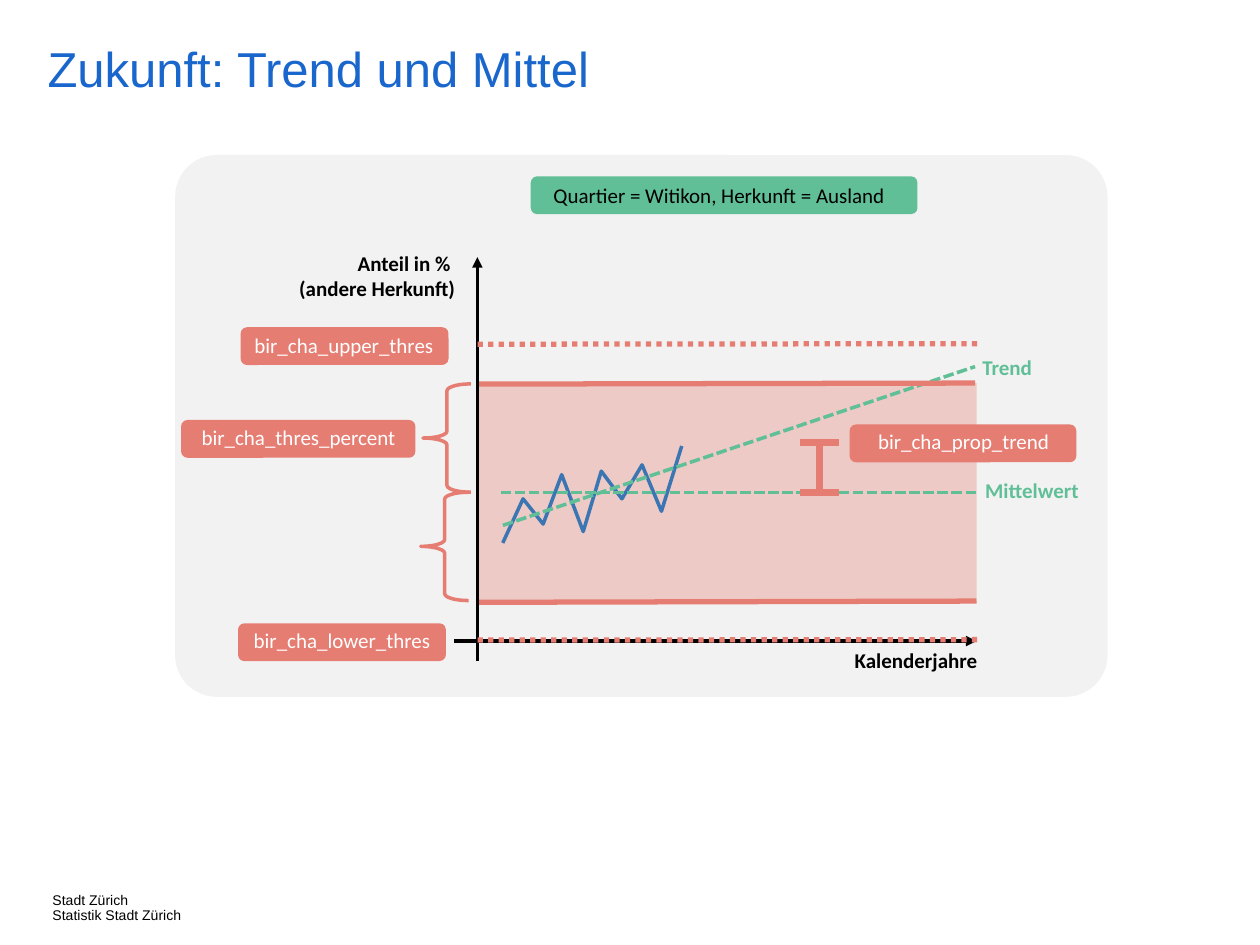
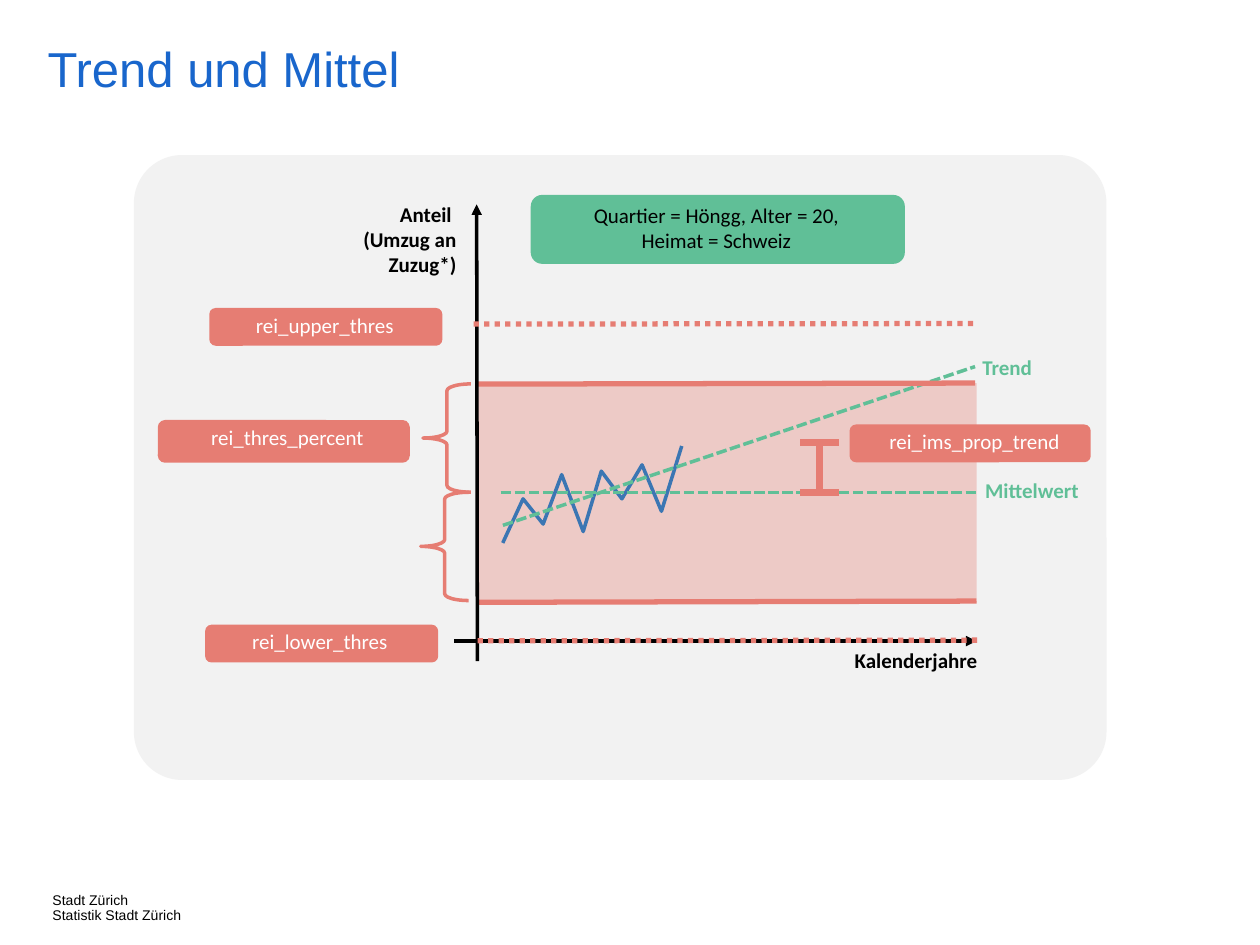
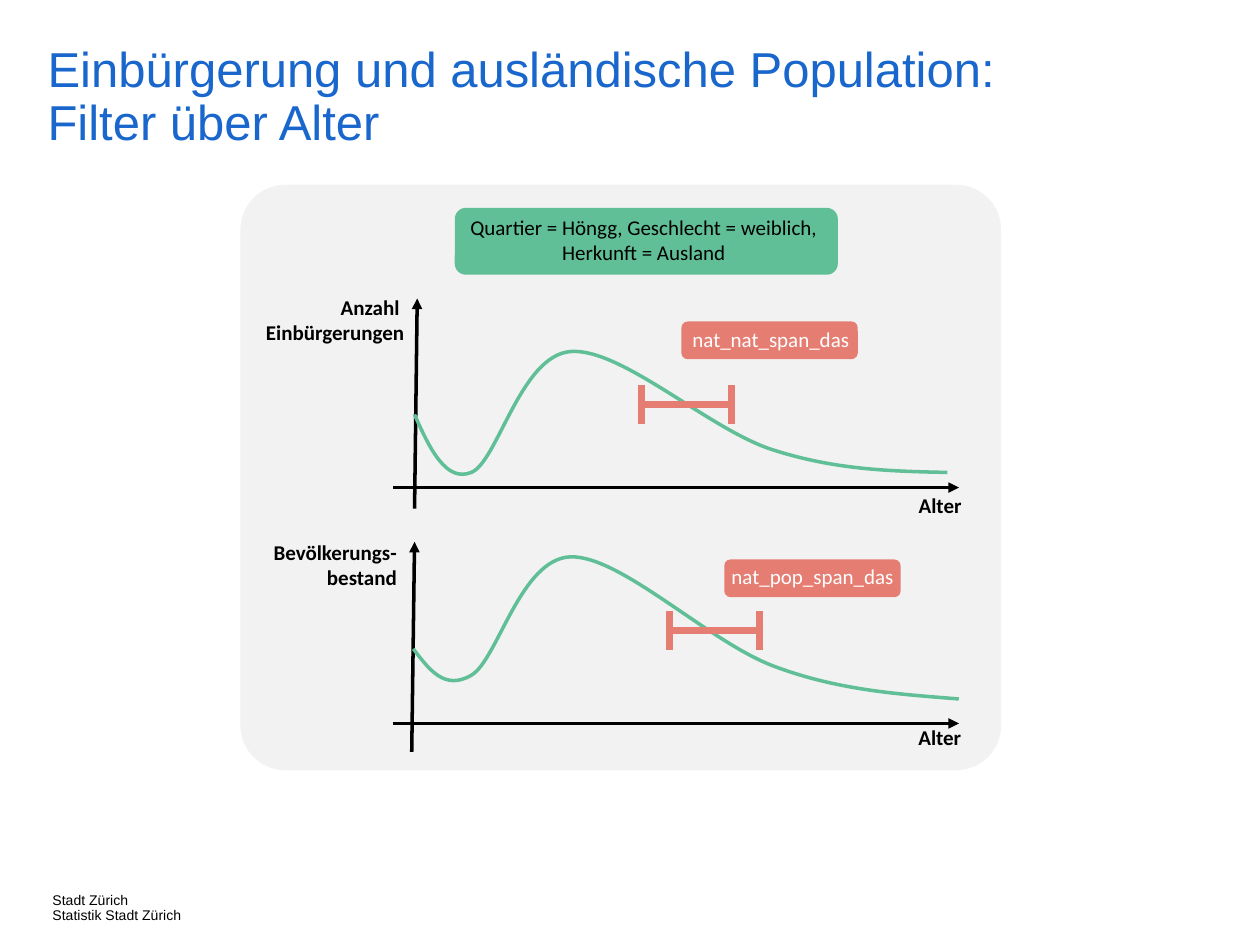
"""Build three slides on trend, mean and age filters for population scenarios."""
from pptx import Presentation
from pptx.dml.color import RGBColor
from pptx.enum.dml import MSO_LINE
from pptx.enum.shapes import MSO_CONNECTOR, MSO_SHAPE
from pptx.enum.text import MSO_ANCHOR, MSO_AUTO_SIZE, PP_ALIGN
from pptx.oxml.ns import qn
from pptx.oxml.xmlchemy import OxmlElement
from pptx.util import Pt

COLORS = {
    "title": "1966CC", "black": "000000", "white": "FFFFFF", "panel": "F2F2F2",
    "red": "E67D73", "green": "60BF97", "blue": "3B76B3",
}
FOOTER = "Stadt Zürich\nStatistik Stadt Zürich"

TREND_SLIDES = [
    {
        "title": "Zukunft: Trend und Mittel", "title_width": 604.8,
        "panel": (100.1, 88.6, 532.8, 309.6),
        "filter": ("Quartier = Witikon, Herkunft = Ausland",
                   (303.3, 100.8, 221, 21.6), (303.3, 100.8, 215.3, 21.6)),
        "axis_label": ("Anteil in % \v(andere Herkunft)", (99.4, 139.7, 167.8, 36)),
        "axis_top": (272.8, 146.9),
        "upper": ((272.9, 196.7), (558.7, 196.4)),
        "lower": ((272.9, 365.8), (558.7, 365.5)),
        "tags": [
            ("bir_cha_thres_percent", (103.5, 240, 133.9, 21.6), (105.1, 239.3, 131, 21.6)),
            ("bir_cha_prop_trend", (485.5, 242.6, 129.6, 21.6), (493.4, 241.4, 114.5, 21.6)),
            ("bir_cha_lower_thres", (136, 356.2, 118.8, 21.6), (136.4, 355, 118, 21.6)),
            ("bir_cha_upper_thres", (137.5, 187, 118.8, 21.6), (136, 186.5, 121, 21.6)),
        ],
    },
    {
        "title": "Trend und Mittel", "title_width": 650.2,
        "panel": (76.5, 88.6, 555.8, 357.1),
        "filter": ("Quartier = Höngg, Alter = 20, \vHeimat = Schweiz ",
                   (303.3, 111.4, 213.8, 39.4), (302.4, 112, 216.7, 36)),
        "axis_label": ("Anteil \v(Umzug an Zuzug*)", (178.6, 111.4, 89.3, 51.1)),
        "axis_top": (272.4, 116.8),
        "upper": ((270.7, 185.2), (556.6, 184.9)),
        "lower": ((272.9, 366.2), (558.7, 365.8)),
        "tags": [
            ("rei_thres_percent", (90.2, 240, 144, 24.4), (90.1, 239.3, 148.3, 21.6)),
            ("rei_ims_prop_trend", (485.5, 242.6, 137.8, 21.6), (491, 241.4, 131.8, 21.6)),
            ("rei_lower_thres", (117.2, 357, 133.2, 21.6), (109.4, 355.8, 146.9, 21.6)),
            ("rei_upper_thres", (119.6, 176, 133.2, 21.6), (112.2, 175.1, 146.9, 21.6)),
        ],
    },
]
SERIES = [
    (287.3, 310.3), (298.9, 285.1), (310.4, 299.5), (321, 271.3), (333.3, 303.8),
    (343.6, 269.3), (355.4, 285.1), (366.9, 265.7), (378, 292.2), (389.6, 254.9),
]

AGE_SLIDE = {
    "title": "Einbürgerung und ausländische Population: Filter über Alter",
    "title_width": 604.8,
    "panel": (137.4, 105.6, 434.7, 334.6),
    "filter": ("Quartier = Höngg, Geschlecht = weiblich, Herkunft = Ausland",
               (259.9, 118.8, 218.9, 38.2), (260.6, 118.8, 214.6, 36)),
}
AGE_CHARTS = [
    {
        "axis_label": ("Anzahl \vEinbürgerungen", (137.3, 164.9, 100.8, 36)),
        "age_label": ("Alter", (492.6, 277.9, 89.3, 21.6)),
        "age_axis": 278.6, "value_axis": ((236.9, 290.7), (238.4, 170.6)),
        "tag": ("nat_nat_span_das", (389.4, 183.7, 100.8, 21.6), (385.4, 182.9, 110.2, 21.6)),
        "span": ((366.7, 231.3), (417.8, 231.3)),
        "curve": [(236.9, 236.9), (245.5, 256.3), (254.9, 275.8), (269.3, 270),
                  (284.4, 264.2), (297.4, 203), (326.2, 200.9),
                  (355, 198.7), (405.4, 245.5), (441.4, 257),
                  (477.4, 268.6), (509, 269.3), (541.4, 270)],
    },
    {
        "axis_label": ("Bevölkerungs-bestand", (144.6, 304.6, 89.3, 36)),
        "age_label": ("Alter", (492.4, 410.4, 89.3, 21.6)),
        "age_axis": 413.4, "value_axis": ((235.3, 429.6), (236.9, 309.6)),
        "tag": ("nat_pop_span_das", (413.9, 319.7, 100.8, 21.6), (406, 318.4, 116.6, 21.6)),
        "span": ((382.6, 360.4), (434, 360.4)),
        "curve": [(236.2, 370.8), (245.5, 383), (254.2, 394.6), (269.3, 385.9),
                  (284.4, 377.3), (297.4, 319), (326.2, 318.2),
                  (355, 317.5), (405.4, 367.2), (442.8, 380.9),
                  (479.5, 394.6), (514.1, 396.7), (547.9, 399.4)],
    },
]


def rgb(name):
    return RGBColor.from_string(COLORS[name])


def points(values):
    return [Pt(value) for value in values]


def write(shape, text, color, size=12, font="Calibri", bold=False,
          align=PP_ALIGN.LEFT, spacing=None):
    shape.text_frame.text = text
    for para in shape.text_frame.paragraphs:
        para.alignment = align
        para.line_spacing = spacing
        for span in para.runs:
            span.font.size, span.font.name, span.font.bold = Pt(size), font, bold
            span.font.color.rgb = rgb(color)


def clear_margins(frame):
    frame.margin_left = frame.margin_top = frame.margin_right = frame.margin_bottom = 0


def add_block(page, kind, bounds, fill, opacity=100):
    block = page.shapes.add_shape(kind, *points(bounds))
    block.shadow.inherit = False
    block.fill.solid()
    block.fill.fore_color.rgb = rgb(fill)
    block.line.fill.background()
    if opacity < 100:
        alpha = OxmlElement("a:alpha")
        alpha.set("val", str(opacity * 1000))
        block._element.spPr.find(qn("a:solidFill"))[0].append(alpha)
    return block


def add_label(page, text, bounds, color="black", align=PP_ALIGN.RIGHT, bold=True):
    label = page.shapes.add_textbox(*points(bounds))
    label.text_frame.word_wrap = True
    label.text_frame.auto_size = MSO_AUTO_SIZE.SHAPE_TO_FIT_TEXT
    write(label, text, color, bold=bold, align=align)


def add_tag(page, text, bounds, text_bounds, fill="red", color="white"):
    add_block(page, MSO_SHAPE.ROUNDED_RECTANGLE, bounds, fill)
    add_label(page, text, text_bounds, color, PP_ALIGN.CENTER, bold=False)


def add_line(page, start, end, color, width, dash=None, arrow=False):
    line = page.shapes.add_connector(MSO_CONNECTOR.STRAIGHT, *points(start + end))
    line.line.color.rgb = rgb(color)
    line.line.width = Pt(width)
    if dash:
        line.line.dash_style = dash
    properties = line._element.spPr
    if arrow:
        head = OxmlElement("a:tailEnd")
        head.set("type", "triangle")
        properties.find(qn("a:ln")).append(head)
    properties.append(OxmlElement("a:effectLst"))


def add_gauge(page, start, end, half):
    """Draw a bar with a crossing cap at each end."""
    add_line(page, start, end, "red", 4)
    across, down = (half, 0) if start[0] == end[0] else (0, half)
    for x, y in (start, end):
        add_line(page, (x - across, y - down), (x + across, y + down), "red", 4)


def outline(shape, color):
    shape.shadow.inherit = False
    shape.fill.background()
    shape.line.color.rgb = rgb(color)
    shape.line.width = Pt(2)


def add_path(page, vertices, color):
    vertices = [tuple(points(vertex)) for vertex in vertices]
    builder = page.shapes.build_freeform(*vertices[0])
    builder.add_line_segments(vertices[1:], close=False)
    path = builder.convert_to_shape()
    outline(path, color)
    return path


def add_curve(page, controls, color):
    """Draw a chain of cubic curves, with two handles between each pair of anchors."""
    curve = add_path(page, controls[::3], color)
    segments = list(curve._element.iter(qn("a:lnTo")))
    for index, segment in enumerate(segments):
        bend = OxmlElement("a:cubicBezTo")
        for x, y in controls[3 * index + 1:3 * index + 4]:
            point = OxmlElement("a:pt")
            point.set("x", str(Pt(x) - curve.left))
            point.set("y", str(Pt(y) - curve.top))
            bend.append(point)
        segment.getparent().replace(segment, bend)


def add_brace(page, left, top):
    brace = page.shapes.add_shape(MSO_SHAPE.RIGHT_BRACE, *points((left, top, 27.4, 61.9)))
    brace.adjustments[0] = 0.142
    brace._element.spPr.find(qn("a:xfrm")).set("flipH", "1")
    outline(brace, "red")


def start_page(deck, content):
    page = deck.slides.add_slide(deck.slide_layouts[5])
    title = page.shapes.title
    title.left, title.top, title.width, title.height = points(
        (27.2, 26, content["title_width"], 46))
    clear_margins(title.text_frame)
    title.text_frame.auto_size = MSO_AUTO_SIZE.NONE
    title.text_frame.vertical_anchor = MSO_ANCHOR.TOP
    write(title, content["title"], "title", 28, "Arial", spacing=0.9)
    footer = page.shapes.add_textbox(*points((30, 510.5, 94.3, 14.4)))
    clear_margins(footer.text_frame)
    footer.text_frame.word_wrap = False
    write(footer, FOOTER, "black", 8, "Arial", spacing=0.9)
    panel = add_block(page, MSO_SHAPE.ROUNDED_RECTANGLE, content["panel"], "panel")
    panel.adjustments[0] = 0.077
    add_tag(page, *content["filter"], "green", "black")
    return page


def add_trend_page(deck, content):
    page = start_page(deck, content)
    add_block(page, MSO_SHAPE.RECTANGLE, (272.4, 218.9, 285.8, 125.3), "red", 34)
    add_line(page, (259.7, 366.3), (558, 366.3), "black", 2, arrow=True)
    add_label(page, "Kalenderjahre", (478.8, 366.5, 89.3, 21.6), align=PP_ALIGN.CENTER)
    add_label(page, *content["axis_label"])
    add_path(page, SERIES, "blue")
    add_line(page, (286.1, 281.5), (558, 281.5), "green", 2, MSO_LINE.SQUARE_DOT)
    add_label(page, "Mittelwert", (534.2, 269.3, 89.3, 21.6), "green")
    add_line(page, (287.4, 300.2), (557.2, 209.5), "green", 2, MSO_LINE.SQUARE_DOT)
    add_label(page, "Trend", (550.7, 199, 46.1, 21.6), "green")
    add_brace(page, 241.7, 219.4)
    add_line(page, (272.4, 344.2), (558, 343.5), "red", 3)
    add_line(page, (272.4, 219.5), (557.2, 218.9), "red", 3)
    add_line(page, (272.8, 377.8), content["axis_top"], "black", 2, arrow=True)
    add_brace(page, 240.4, 281.3)
    add_gauge(page, (468.5, 252.7), (468.5, 281.7), 11.2)
    for edge in ("lower", "upper"):
        add_line(page, *content[edge], "red", 3, MSO_LINE.ROUND_DOT)
    for tag in content["tags"]:
        add_tag(page, *tag)


def add_age_page(deck):
    page = start_page(deck, AGE_SLIDE)
    for chart in AGE_CHARTS:
        level = chart["age_axis"]
        add_line(page, (224.6, level), (548, level), "black", 2, arrow=True)
        add_line(page, *chart["value_axis"], "black", 2, arrow=True)
        add_label(page, *chart["age_label"], align=PP_ALIGN.CENTER)
        add_label(page, *chart["axis_label"])
        add_tag(page, *chart["tag"])
        add_curve(page, chart["curve"], "green")
        add_gauge(page, *chart["span"], 11.2)


def main():
    deck = Presentation()
    deck.slide_width, deck.slide_height = Pt(720), Pt(540)
    for content in TREND_SLIDES:
        add_trend_page(deck, content)
    add_age_page(deck)
    deck.save("out.pptx")


if __name__ == "__main__":
    main()
